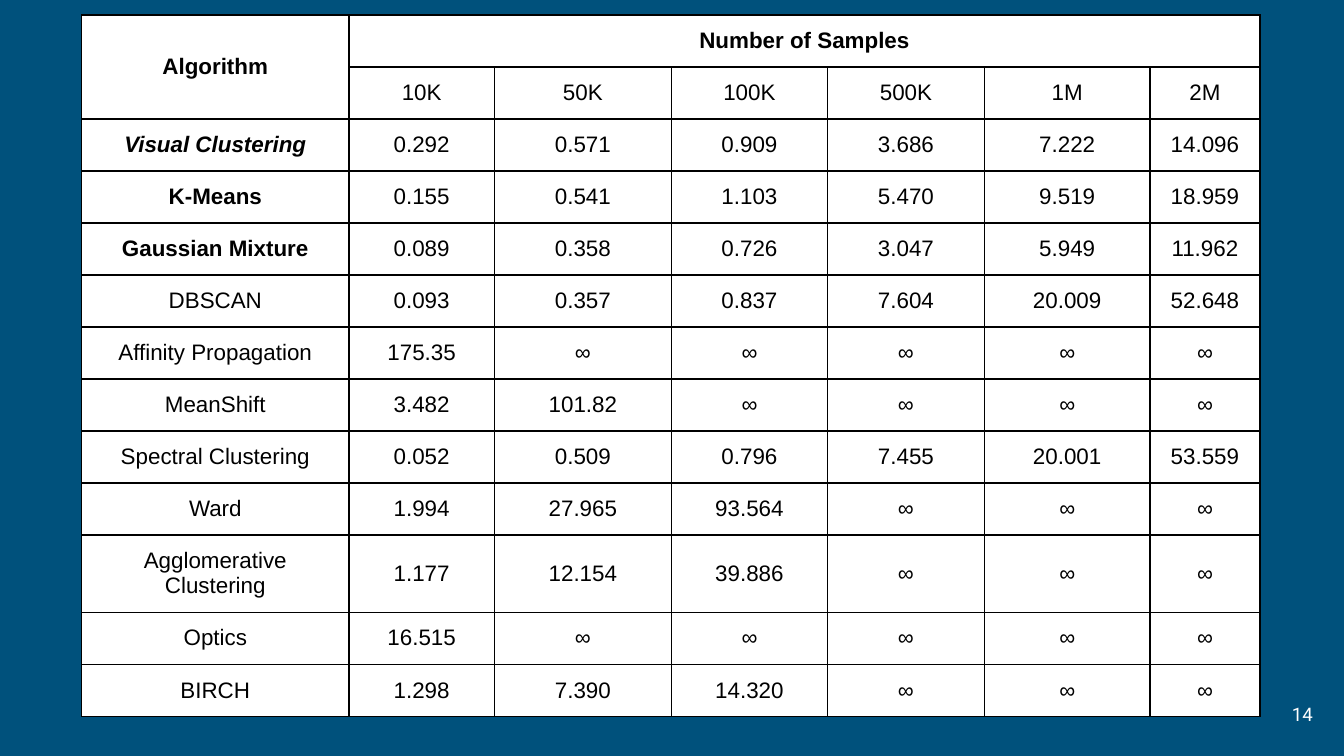
import dataclasses

import pptx
import pptx.dml.color
import pptx.enum.text
import pptx.oxml
import pptx.oxml.ns
import pptx.util

Pt = pptx.util.Pt
RGBColor = pptx.dml.color.RGBColor
PP_ALIGN = pptx.enum.text.PP_ALIGN
MIDDLE = pptx.enum.text.MSO_ANCHOR.MIDDLE


@dataclasses.dataclass(frozen=True)
class Theme:
    """Colours, fonts and sizes of the slide."""
    background: str = "00517C"
    paper: str = "FFFFFF"
    ink: str = "000000"
    table_font: str = "Arial"
    table_size: float = 12
    number_font: str = "Roboto"
    number_size: float = 10
    border: float = 0.75
    inset: float = 7.2


THEME = Theme()
SAMPLE_SIZES = ["10K", "50K", "100K", "500K", "1M", "2M"]
RUNTIMES = {
    "Visual Clustering": ["0.292", "0.571", "0.909", "3.686", "7.222", "14.096"],
    "K-Means": ["0.155", "0.541", "1.103", "5.470", "9.519", "18.959"],
    "Gaussian Mixture": ["0.089", "0.358", "0.726", "3.047", "5.949", "11.962"],
    "DBSCAN": ["0.093", "0.357", "0.837", "7.604", "20.009", "52.648"],
    "Affinity Propagation": ["175.35"],
    "MeanShift": ["3.482", "101.82"],
    "Spectral Clustering": ["0.052", "0.509", "0.796", "7.455", "20.001", "53.559"],
    "Ward": ["1.994", "27.965", "93.564"],
    "Agglomerative Clustering": ["1.177", "12.154", "39.886"],
    "Optics": ["16.515"],
    "BIRCH": ["1.298", "7.390", "14.320"],
}
UNFINISHED = "∞"
BOLD = {"Algorithm", "Number of Samples", "Visual Clustering", "K-Means", "Gaussian Mixture"}
ITALIC = {"Visual Clustering"}
COLUMN_WIDTHS = [143.3, 77.8, 95, 83.5, 84.2, 88.6, 59]
ROW_HEIGHT = 25.2
WRAPPED_ROW_HEIGHT = 38.2


def set_font(paragraph, name, size, colour, bold=False, italic=False):
    """Apply one font to a whole paragraph."""
    font = paragraph.font
    font.name, font.size, font.bold, font.italic = name, Pt(size), bold, italic
    font.color.rgb = RGBColor.from_string(colour)


def set_insets(frame):
    """Give a cell or text frame equal margins on every side."""
    frame.margin_left = frame.margin_right = Pt(THEME.inset)
    frame.margin_top = frame.margin_bottom = Pt(THEME.inset)


def add_borders(cell):
    """Draw a thin line on all four sides of a cell."""
    properties = cell._tc.get_or_add_tcPr()
    for side in ("lnL", "lnR", "lnT", "lnB"):
        properties.append(pptx.oxml.parse_xml(
            f'<a:{side} {pptx.oxml.ns.nsdecls("a")} w="{Pt(THEME.border)}">'
            f'<a:solidFill><a:srgbClr val="{THEME.ink}"/></a:solidFill></a:{side}>'))


def format_cell(cell, text):
    """Fill a cell with centred text on paper, inside a border."""
    add_borders(cell)
    cell.fill.solid()
    cell.fill.fore_color.rgb = RGBColor.from_string(THEME.paper)
    cell.vertical_anchor = MIDDLE
    set_insets(cell)
    cell.text = text
    paragraph = cell.text_frame.paragraphs[0]
    paragraph.alignment = PP_ALIGN.CENTER
    set_font(paragraph, THEME.table_font, THEME.table_size, THEME.ink,
             text in BOLD, text in ITALIC)


def add_runtime_table(slide, left, top, width, height):
    """Place the table of runtimes by algorithm and sample count."""
    count = len(SAMPLE_SIZES)
    rows = [["Algorithm", "Number of Samples"] + [""] * (count - 1), [""] + SAMPLE_SIZES]
    rows += [[algorithm] + times + [UNFINISHED] * (count - len(times))
             for algorithm, times in RUNTIMES.items()]
    frame = slide.shapes.add_table(len(rows), count + 1, Pt(left), Pt(top), Pt(width), Pt(height))
    table = frame.table
    table.first_row = table.horz_banding = False
    for column, column_width in zip(table.columns, COLUMN_WIDTHS):
        column.width = Pt(column_width)
    for row, texts in zip(table.rows, rows):
        wrapped = texts[0] == "Agglomerative Clustering"
        row.height = Pt(WRAPPED_ROW_HEIGHT if wrapped else ROW_HEIGHT)
        for cell, text in zip(row.cells, texts):
            format_cell(cell, text)
    table.cell(0, 0).merge(table.cell(1, 0))
    table.cell(0, 1).merge(table.cell(0, count))
    frame.width, frame.height = Pt(width), Pt(height)


def add_slide_number(slide, left, top, width, height):
    """Place the slide number, right-aligned in its box."""
    number = slide.shapes.add_textbox(Pt(left), Pt(top), Pt(width), Pt(height)).text_frame
    number.word_wrap = True
    number.vertical_anchor = MIDDLE
    set_insets(number)
    number.text = "14"
    paragraph = number.paragraphs[0]
    paragraph.alignment = PP_ALIGN.RIGHT
    set_font(paragraph, THEME.number_font, THEME.number_size, THEME.paper)


def main():
    """Build and save the slide."""
    presentation = pptx.Presentation()
    presentation.slide_width, presentation.slide_height = Pt(720), Pt(405)
    slide = presentation.slides.add_slide(presentation.slide_layouts[6])
    slide.background.fill.solid()
    slide.background.fill.fore_color.rgb = RGBColor.from_string(THEME.background)
    add_runtime_table(slide, 43.7, 8, 632, 388.8)
    add_slide_number(slide, 667.2, 367.2, 43.2, 31)
    presentation.save("out.pptx")


if __name__ == "__main__":
    main()
